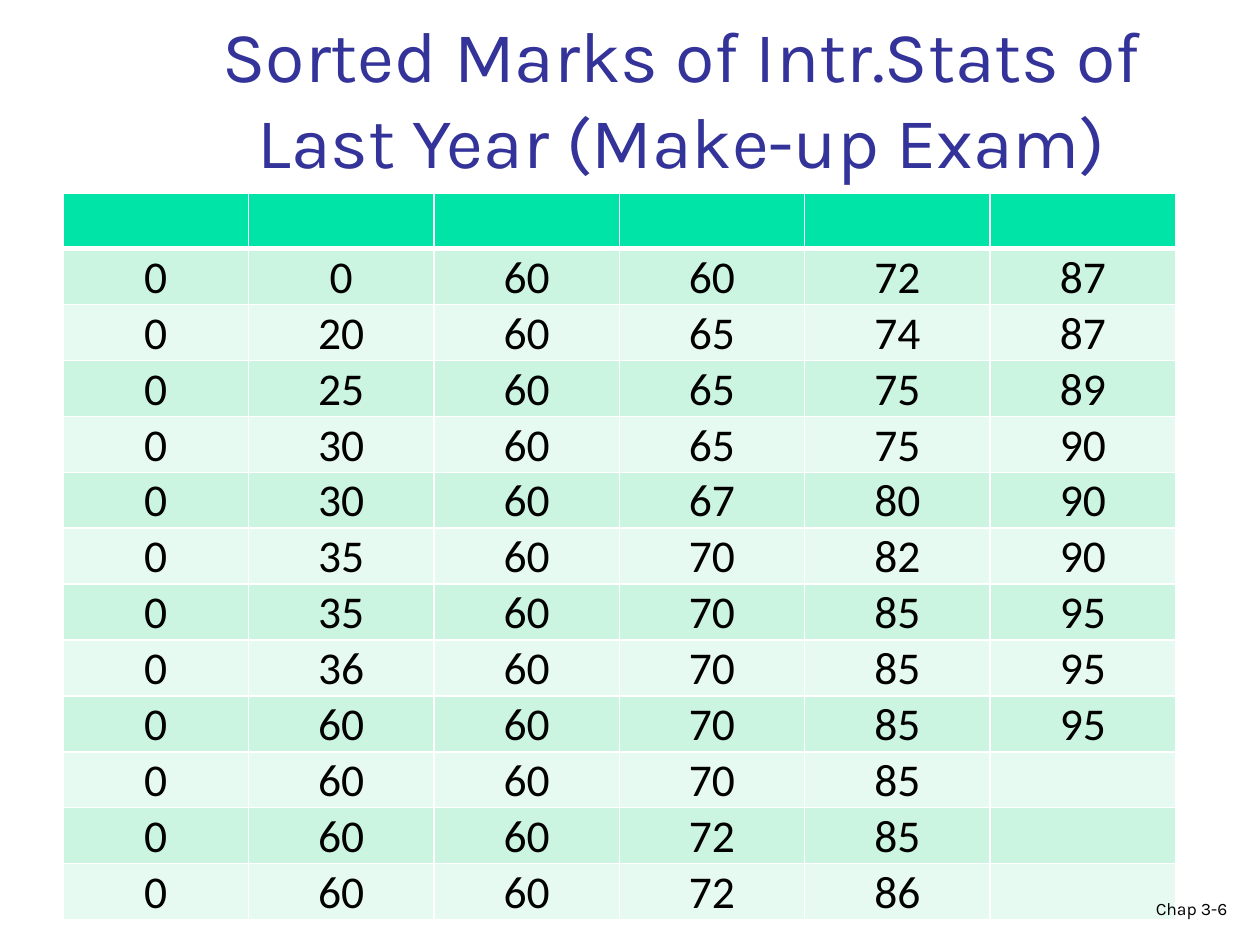
from lxml.etree import SubElement
from pptx import Presentation
from pptx.dml.color import RGBColor
from pptx.enum.text import MSO_ANCHOR as Anchor, PP_ALIGN as Align
from pptx.oxml.ns import qn
from pptx.util import Inches, Pt

# Content: sorted marks, read down one column after another
TITLE = "Sorted Marks of Intr.Stats of Last Year (Make-up Exam)"
PAGE = "Chap 3-6"
MARKS = (
    [0] * 13 + [20, 25, 30, 30, 35, 35, 36] + [60] * 17
    + [65, 65, 65, 67, 70, 70, 70, 70, 70, 72, 72]
    + [72, 74, 75, 75, 80, 82, 85, 85, 85, 85, 85, 86]
    + [87, 87, 89, 90, 90, 90, 95, 95, 95]
)
COLS, BODY_ROWS = 6, 12


class Theme:
    heading_font, table_font = "Karla", "Calibri"
    title_size, mark_size, page_size = 41, 26, 10
    title, text, border = "333399", "000000", "FFFFFF"
    header, bands = "00E4A8", ("CCF5E1", "E7FAF1")


def write(tf, text, *, font, size, color, align):
    p = tf.paragraphs[0]
    p.alignment = align
    r = p.add_run()
    r.text = text
    r.font.name, r.font.size = font, Pt(size)
    r.font.color.rgb = RGBColor.from_string(color)


def add_text(slide, box, text, **fmt):
    tf = slide.shapes.add_textbox(*map(Inches, box)).text_frame
    tf.word_wrap = True
    tf.vertical_anchor = Anchor.BOTTOM
    tf.margin_left = tf.margin_right = Inches(0.09)
    tf.margin_top = tf.margin_bottom = Inches(0.05)
    write(tf, text, **fmt)


def style_cell(cell, fill, widths):
    """Draw the left, right, top and bottom borders, then the fill."""
    tc_pr = cell._tc.get_or_add_tcPr()
    for side, width in zip("LRTB", widths):
        ln = SubElement(tc_pr, qn(f"a:ln{side}"), w=str(Pt(width)))
        solid = SubElement(ln, qn("a:solidFill"))
        SubElement(solid, qn("a:srgbClr"), val=Theme.border)
    cell.fill.solid()
    cell.fill.fore_color.rgb = RGBColor.from_string(fill)


def add_marks_table(slide, box):
    rows = BODY_ROWS + 1
    table = slide.shapes.add_table(rows, COLS, *map(Inches, box)).table
    for row in range(rows):
        fill = Theme.bands[(row - 1) % 2] if row else Theme.header
        # A thick rule separates the header from the marks
        widths = (1, 1, 3 if row == 1 else 1, 1 if row else 3)
        for col in range(COLS):
            cell = table.cell(row, col)
            style_cell(cell, fill, widths)
            index = col * BODY_ROWS + row - 1
            if row == 0 or index >= len(MARKS):
                continue
            cell.vertical_anchor = Anchor.BOTTOM
            cell.margin_left = cell.margin_right = cell.margin_top = Inches(0.01)
            cell.margin_bottom = 0
            write(cell.text_frame, str(MARKS[index]), font=Theme.table_font,
                  size=Theme.mark_size, color=Theme.text, align=Align.CENTER)


def main():
    prs = Presentation()
    prs.slide_width, prs.slide_height = Inches(10), Inches(7.5)
    slide = prs.slides.add_slide(prs.slide_layouts[6])

    # Title
    add_text(slide, (1.08, 0.17, 8.67, 1.33), TITLE, font=Theme.heading_font,
             size=Theme.title_size, color=Theme.title, align=Align.CENTER)
    # Marks
    add_marks_table(slide, (0.5, 1.53, 8.83, 5.77))
    # Page label
    add_text(slide, (7.75, 7, 2.08, 0.34), PAGE, font=Theme.heading_font,
             size=Theme.page_size, color=Theme.text, align=Align.RIGHT)

    prs.save("out.pptx")


if __name__ == "__main__":
    main()
